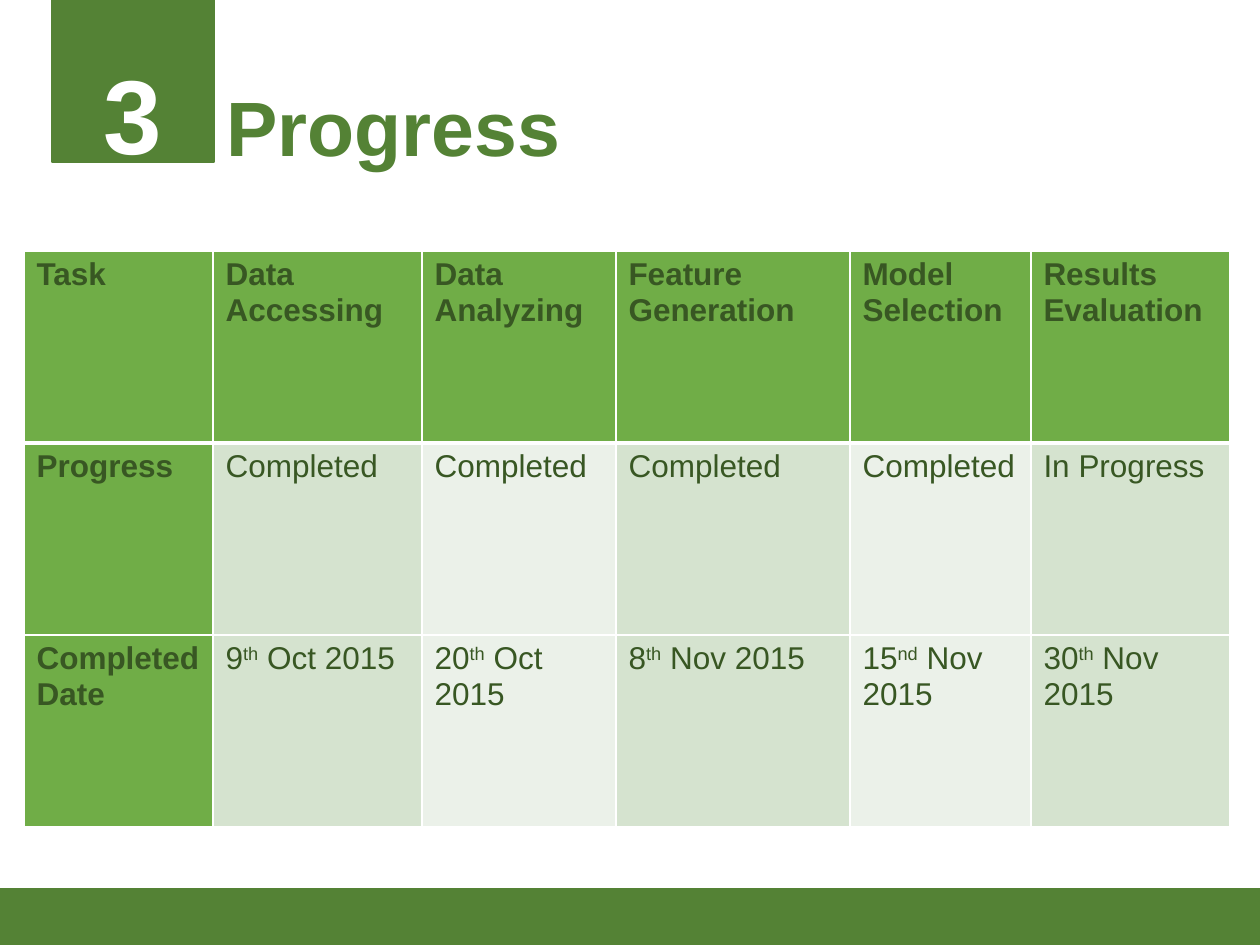
from dataclasses import dataclass

from lxml.etree import SubElement
from pptx import Presentation
from pptx.dml.color import RGBColor
from pptx.enum.shapes import MSO_SHAPE
from pptx.enum.text import MSO_ANCHOR, PP_ALIGN
from pptx.oxml.ns import qn
from pptx.util import Emu, Pt


@dataclass(frozen=True)
class Theme:
    font: str = "Arial"
    accent: str = "548235"
    head: str = "70AD47"
    bands: tuple = ("D5E3CF", "EBF1E9")
    ink: str = "385723"
    white: str = "FFFFFF"
    number_size: int = 60
    title_size: int = 44
    table_size: int = 18


THEME = Theme()
PX_PER_INCH = 126
COLUMN_WIDTHS = (189, 209, 194, 234, 181, 199)
ROW_HEIGHT = 192

# A cell is plain text, or (day, ordinal suffix, month and year)
SCHEDULE = (
    ("Task", "Data Accessing", "Data Analyzing", "Feature Generation",
     "Model Selection", "Results Evaluation"),
    ("Progress", "Completed", "Completed", "Completed", "Completed",
     "In Progress"),
    ("Completed Date", ("9", "th", " Oct 2015"), ("20", "th", " Oct 2015"),
     ("8", "th", " Nov 2015"), ("15", "nd", " Nov 2015"),
     ("30", "th", " Nov 2015")),
)


def px(length):
    return Emu(round(length * 914400 / PX_PER_INCH))


def color(value):
    return RGBColor.from_string(value)


def style(font, size, ink, bold=False):
    font.name = THEME.font
    font.size = Pt(size)
    font.bold = bold
    font.color.rgb = color(ink)


def add_block(page, left, top, width, height):
    block = page.shapes.add_shape(
        MSO_SHAPE.RECTANGLE, px(left), px(top), px(width), px(height))
    block.shadow.inherit = False
    block.fill.solid()
    block.fill.fore_color.rgb = color(THEME.accent)
    block.line.color.rgb = color(THEME.accent)
    block.line.width = Pt(1)
    return block


def add_section_number(page, number):
    frame = add_block(page, 52, 0, 162, 162).text_frame
    frame.vertical_anchor = MSO_ANCHOR.TOP
    frame.margin_top = px(50)
    frame.margin_bottom = 0
    para = frame.paragraphs[0]
    para.text = number
    para.alignment = PP_ALIGN.CENTER
    style(para.runs[0].font, THEME.number_size, THEME.white, bold=True)


def set_title(page, text):
    title = page.shapes.title
    title.left, title.top = px(214), px(66)
    title.width, title.height = px(702), px(106)
    frame = title.text_frame
    frame.word_wrap = True
    frame.vertical_anchor = MSO_ANCHOR.TOP
    frame.margin_top = px(14)
    frame.margin_bottom = 0
    para = frame.paragraphs[0]
    para.text = text
    para.alignment = PP_ALIGN.LEFT
    style(para.runs[0].font, THEME.title_size, THEME.accent, bold=True)


def set_borders(cell, row):
    """White rules, with a thicker one under the header row."""
    properties = cell._tc.get_or_add_tcPr()
    widths = {"a:lnL": 1, "a:lnR": 1,
              "a:lnT": 3 if row == 1 else 1, "a:lnB": 3 if row == 0 else 1}
    for tag, width in widths.items():
        line = SubElement(properties, qn(tag), w=str(Pt(width)))
        fill = SubElement(line, qn("a:solidFill"))
        SubElement(fill, qn("a:srgbClr"), val=THEME.white)


def fill_cell(cell, content, row, column):
    is_head = row == 0 or column == 0
    set_borders(cell, row)
    cell.fill.solid()
    cell.fill.fore_color.rgb = color(
        THEME.head if is_head else THEME.bands[(column - 1) % 2])
    parts = (content,) if isinstance(content, str) else content
    para = cell.text_frame.paragraphs[0]
    for index, text in enumerate(parts):
        span = para.add_run()
        span.text = text
        style(span.font, THEME.table_size, THEME.ink, bold=is_head)
        if index == 1:  # ordinal suffix is raised
            span._r.get_or_add_rPr().set("baseline", "30000")


def add_schedule(page):
    table = page.shapes.add_table(
        len(SCHEDULE), len(COLUMN_WIDTHS), px(24), px(251),
        px(sum(COLUMN_WIDTHS)), px(ROW_HEIGHT * len(SCHEDULE))).table
    table.first_col = True
    table.horz_banding = False
    for column, width in zip(table.columns, COLUMN_WIDTHS):
        column.width = px(width)
    for row, contents in enumerate(SCHEDULE):
        table.rows[row].height = px(ROW_HEIGHT)
        for column, content in enumerate(contents):
            fill_cell(table.cell(row, column), content, row, column)


def main():
    deck = Presentation()
    deck.slide_width, deck.slide_height = px(1260), px(945)
    page = deck.slides.add_slide(deck.slide_layouts.get_by_name("Title Only"))

    # Heading
    add_section_number(page, "3")
    set_title(page, "Progress")

    # Footer band
    add_block(page, 0, 889, 1260, 56)

    # Task schedule
    add_schedule(page)

    deck.save("out.pptx")


if __name__ == "__main__":
    main()
